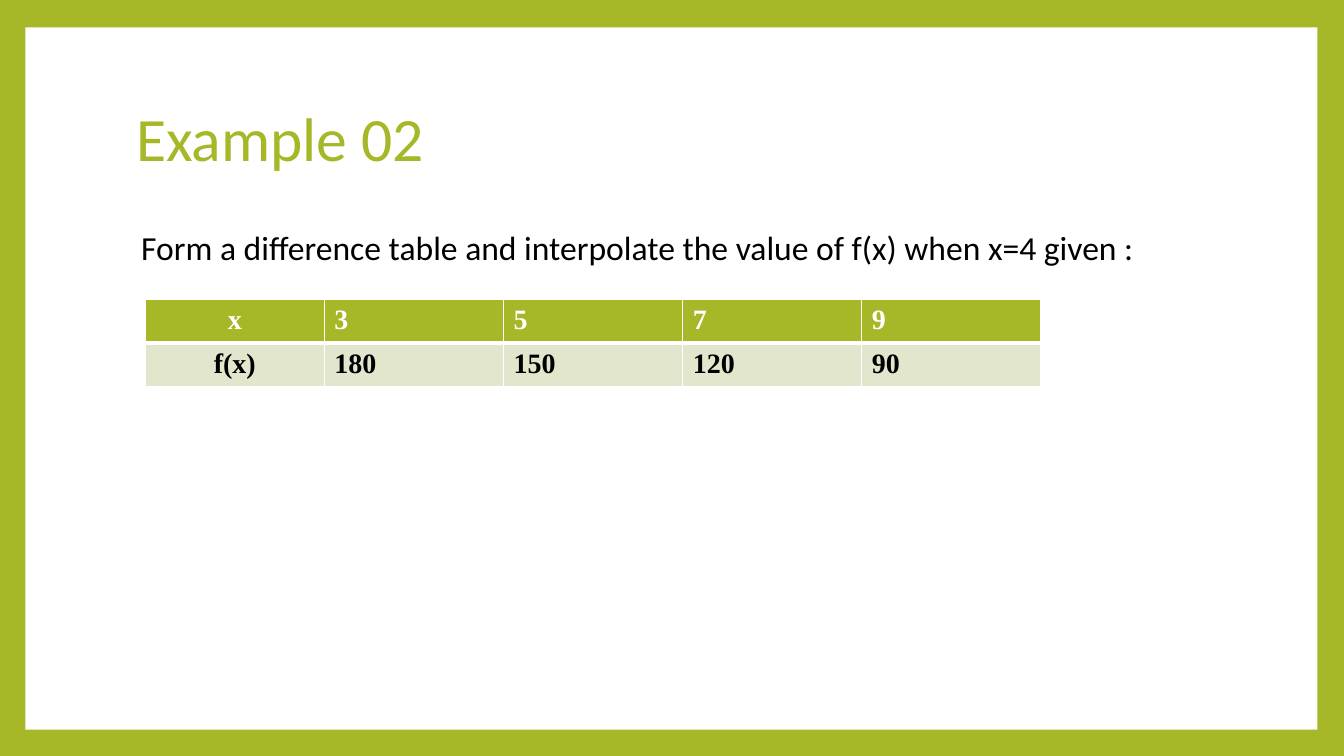
import pptx
import pptx.dml.color
import pptx.enum.shapes
import pptx.enum.text
import pptx.oxml.ns
import pptx.util
from lxml import etree

Cm = pptx.util.Cm
Pt = pptx.util.Pt
RGBColor = pptx.dml.color.RGBColor

GREEN = RGBColor(0xA6, 0xB7, 0x27)
PALE_GREEN = RGBColor(0xE1, 0xE6, 0xCD)
WHITE = RGBColor(0xFF, 0xFF, 0xFF)
BLACK = RGBColor(0x00, 0x00, 0x00)


def add_text(page, top, height, text, size, color, anchor):
    box = page.shapes.add_textbox(Cm(3.18), Cm(top), Cm(27.43), Cm(height))
    box.text_frame.word_wrap = True
    box.text_frame.vertical_anchor = anchor
    para = box.text_frame.paragraphs[0]
    para.text = text
    para.line_spacing = 0.9
    para.font.name = "Calibri"
    para.font.size = Pt(size)
    para.font.color.rgb = color
    return para


def add_border(cell, side, points):
    """Draw a white border on one side (L, R, T or B); call before filling the cell."""
    qn = pptx.oxml.ns.qn
    props = cell._tc.get_or_add_tcPr()
    line = etree.SubElement(props, qn(f"a:ln{side}"), w=str(Pt(points)))
    fill = etree.SubElement(line, qn("a:solidFill"))
    etree.SubElement(fill, qn("a:srgbClr"), val=str(WHITE))


deck = pptx.Presentation()
deck.slide_width = Cm(33.87)
deck.slide_height = Cm(19.05)
page = deck.slides.add_slide(deck.slide_layouts[6])
page.background.fill.solid()
page.background.fill.fore_color.rgb = GREEN

panel = page.shapes.add_shape(
    pptx.enum.shapes.MSO_SHAPE.RECTANGLE, Cm(0.64), Cm(0.69), Cm(32.56), Cm(17.7))
panel.shadow.inherit = False
panel.fill.solid()
panel.fill.fore_color.rgb = WHITE
panel.line.fill.background()

ANCHOR = pptx.enum.text.MSO_ANCHOR
add_text(page, 1.7, 3.76, "Example 02", 44, GREEN, ANCHOR.MIDDLE)
question = add_text(
    page, 5.72, 11.23,
    "Form a difference table and interpolate the value of f(x) when x=4 given :",
    24, BLACK, ANCHOR.TOP)
question._p.get_or_add_pPr().set("marL", str(Cm(0.13)))

# Table of given values
values = [
    ["x", "3", "5", "7", "9"],
    ["f(x)", "180", "150", "120", "90"],
]
row_styles = [
    {"fill": GREEN, "text": WHITE, "top": 1, "bottom": 3},
    {"fill": PALE_GREEN, "text": BLACK, "top": 3, "bottom": 1},
]
table = page.shapes.add_table(
    len(values), len(values[0]), Cm(3.66), Cm(7.54), Cm(22.58), Cm(2.06)).table
table.horz_banding = False

for row, texts, style in zip(table.rows, values, row_styles):
    row.height = Cm(1.03)
    for column, (cell, text) in enumerate(zip(row.cells, texts)):
        add_border(cell, "L", 1)
        add_border(cell, "R", 1)
        add_border(cell, "T", style["top"])
        add_border(cell, "B", style["bottom"])
        cell.fill.solid()
        cell.fill.fore_color.rgb = style["fill"]
        para = cell.text_frame.paragraphs[0]
        para.text = text
        if column == 0:
            para.alignment = pptx.enum.text.PP_ALIGN.CENTER
        span = para.runs[0]
        span.font.name = "Times New Roman"
        span.font.size = Pt(20)
        span.font.bold = True
        span.font.color.rgb = style["text"]

deck.save("out.pptx")
